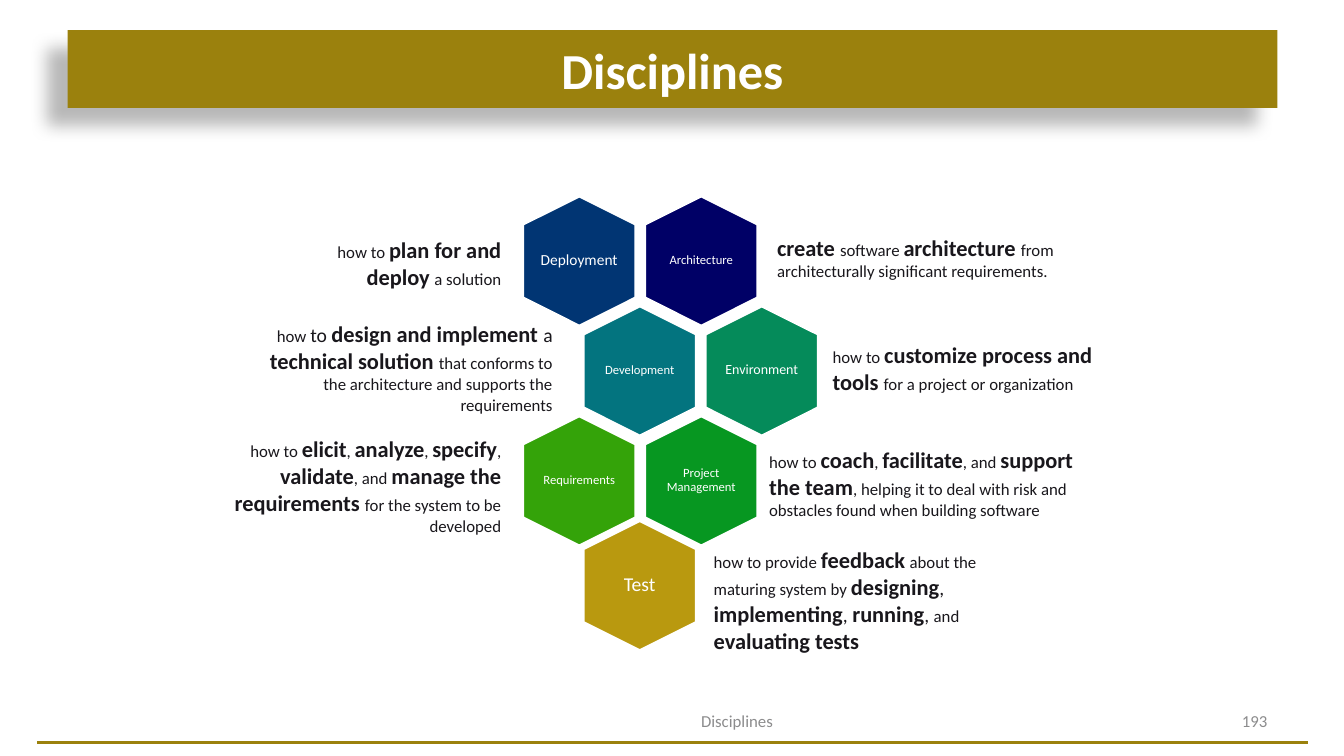
from lxml import etree
from pptx import Presentation
from pptx import util as u
from pptx.dml.color import RGBColor
from pptx.enum import shapes, text
from pptx.oxml import parse_xml
from pptx.oxml.ns import nsdecls, qn

PX = 9144  # EMU per px, 100 px to the inch
FONT = "Calibri"
GOLD = RGBColor(0x9B, 0x81, 0x0D)
WHITE = RGBColor(0xFF, 0xFF, 0xFF)
INK = RGBColor(0x19, 0x17, 0x1C)
GRAY = RGBColor(0x8C, 0x8C, 0x8D)
NAVY = RGBColor(0x00, 0x00, 0x66)
BLUE = RGBColor(0x01, 0x35, 0x73)
TEAL = RGBColor(0x03, 0x74, 0x7F)
SEA = RGBColor(0x05, 0x8B, 0x5A)
GREEN = RGBColor(0x07, 0x97, 0x21)
LIME = RGBColor(0x34, 0xA3, 0x09)
MUSTARD = RGBColor(0xB9, 0x99, 0x0F)

LEFT, CENTER, RIGHT = text.PP_ALIGN.LEFT, text.PP_ALIGN.CENTER, text.PP_ALIGN.RIGHT
SMALL, MID, BIG = 12, 14, 16  # BIG text is bold

HEX_W, HEX_H = 129, 112
COLUMN_PITCH, ROW_SHIFT = 121, 60
ROW_TOPS = (0, 109, 218, 322)

# row, column, label, label size, fill
CELLS = [
    (0, 1, "Architecture", 9, NAVY),
    (0, 0, "Deployment", 11, BLUE),
    (1, 0, "Development", 9, TEAL),
    (1, 1, "Environment", 10, SEA),
    (2, 1, "Project Management", 9, GREEN),
    (2, 0, "Requirements", 9, LIME),
    (3, 0, "Test", 14, MUSTARD),
]

# box, alignment, runs
NOTES = [
    ((299, 229, 208, 64), RIGHT, [
        (SMALL, "how to "), (BIG, "plan for and deploy"), (MID, " "), (SMALL, "a solution")]),
    ((241, 313, 317, 104), RIGHT, [
        (SMALL, "how "), (MID, "to "), (BIG, "design and implement "), (MID, "a "),
        (BIG, "technical solution "),
        (SMALL, "that conforms to the architecture and supports the requirements")]),
    ((212, 427, 295, 111), RIGHT, [
        (SMALL, "how to "), (BIG, "elicit"), (SMALL, ", "), (BIG, "analyze"), (SMALL, ", "),
        (BIG, "specify"), (SMALL, ", "), (BIG, "validate"), (SMALL, ", and "),
        (BIG, "manage the requirements "), (SMALL, "for the system to be developed")]),
    ((761, 227, 333, 57), LEFT, [
        (BIG, "create "), (SMALL, "software "), (BIG, "architecture "),
        (SMALL, "from architecturally significant requirements.")]),
    ((816, 334, 299, 64), LEFT, [
        (SMALL, "how to "), (BIG, "customize process and tools "),
        (SMALL, "for a project or organization")]),
    ((753, 438, 323, 84), LEFT, [
        (SMALL, "how to "), (BIG, "coach"), (SMALL, ", "), (BIG, "facilitate"),
        (SMALL, ", and "), (BIG, "support the team"),
        (SMALL, ", helping it to deal with risk and obstacles found when building software")]),
    ((698, 537, 329, 121), LEFT, [
        (SMALL, "how to provide "), (BIG, "feedback"), (MID, " "),
        (SMALL, "about the maturing system by "), (BIG, "designing"), (MID, ", "),
        (BIG, "implementing"), (MID, ", "), (BIG, "running"), (MID, ", "),
        (SMALL, "and "), (BIG, "evaluating tests")]),
]


def emu(*lengths):
    return [u.Emu(length * PX) for length in lengths]


def style(paragraph, size, color, align):
    paragraph.alignment = align
    paragraph.font.name = FONT
    paragraph.font.size = u.Pt(size)
    paragraph.font.color.rgb = color


def add_label(slide, box, words, size, color, align):
    frame = slide.shapes.add_textbox(*emu(*box)).text_frame
    frame.word_wrap = True
    frame.vertical_anchor = text.MSO_ANCHOR.MIDDLE
    frame.text = words
    style(frame.paragraphs[0], size, color, align)
    return frame


def add_title(slide, box):
    banner = slide.shapes.add_shape(shapes.MSO_SHAPE.RECTANGLE, *emu(*box))
    banner.fill.solid()
    banner.fill.fore_color.rgb = GOLD
    banner.line.fill.background()
    # Soft shadow down and to the left
    banner.element.spPr.append(parse_xml(
        f'<a:effectLst {nsdecls("a")}><a:outerShdw blurRad="{u.Pt(11.8)}" '
        f'dist="{u.Pt(19.7)}" dir="{141 * 60000}" algn="ctr" rotWithShape="0">'
        '<a:srgbClr val="000000"><a:alpha val="28000"/></a:srgbClr>'
        '</a:outerShdw></a:effectLst>'))
    banner.text_frame.text = "Disciplines"
    banner.text_frame.vertical_anchor = text.MSO_ANCHOR.MIDDLE
    heading = banner.text_frame.paragraphs[0]
    style(heading, 36, WHITE, CENTER)
    heading.font.bold = True


def add_hexagon(slide, left, top, label, size, fill):
    cell = slide.shapes.add_shape(
        shapes.MSO_SHAPE.HEXAGON, *emu(left, top, HEX_W, HEX_H))
    cell.rotation = 90
    cell.adjustments[0] = 0.25
    cell.shadow.inherit = False
    cell.fill.solid()
    cell.fill.fore_color.rgb = fill
    cell.line.color.rgb = WHITE
    cell.line.width = u.Pt(2)
    # The label stands upright over the turned hexagon
    frame = add_label(slide, (left + 26, top + 11, 77, 89), label, size, WHITE, CENTER)
    frame.margin_left = frame.margin_right = frame.margin_top = frame.margin_bottom = 0
    frame.paragraphs[0].line_spacing = 0.9


def add_honeycomb(slide, left, top):
    for row, column, label, size, fill in CELLS:
        x = left + column * COLUMN_PITCH + row % 2 * ROW_SHIFT
        add_hexagon(slide, x, top + ROW_TOPS[row], label, size, fill)


def add_note(slide, box, align, runs):
    frame = slide.shapes.add_textbox(*emu(*box)).text_frame
    frame.word_wrap = True
    frame.auto_size = text.MSO_AUTO_SIZE.SHAPE_TO_FIT_TEXT
    paragraph = frame.paragraphs[0]
    style(paragraph, SMALL, INK, align)
    for size, words in runs:
        run = paragraph.add_run()
        run.text = words
        run.font.size = u.Pt(size)
        run.font.bold = size == BIG


def add_footer(slide, left, top, width):
    rule = slide.shapes.add_connector(
        shapes.MSO_CONNECTOR.STRAIGHT, *emu(left, top + 42, left + width, top + 42))
    rule.line.color.rgb = GOLD
    rule.line.width = u.Pt(2.25)
    etree.SubElement(rule.element.spPr, qn("a:effectLst"))
    add_label(slide, (left + 483, top, 422, 40), "Disciplines", 12, GRAY, CENTER)
    add_label(slide, (left + 919, top, 311, 40), "193", 12, GRAY, RIGHT)


def main():
    deck = Presentation()
    deck.slide_width, deck.slide_height = emu(1333, 750)
    slide = deck.slides.add_slide(deck.slide_layouts[6])
    add_title(slide, (67, 30, 1200, 77))
    add_honeycomb(slide, 510, 203)
    for box, align, runs in NOTES:
        add_note(slide, box, align, runs)
    add_footer(slide, 37, 695, 1260)
    deck.save("out.pptx")


if __name__ == "__main__":
    main()
